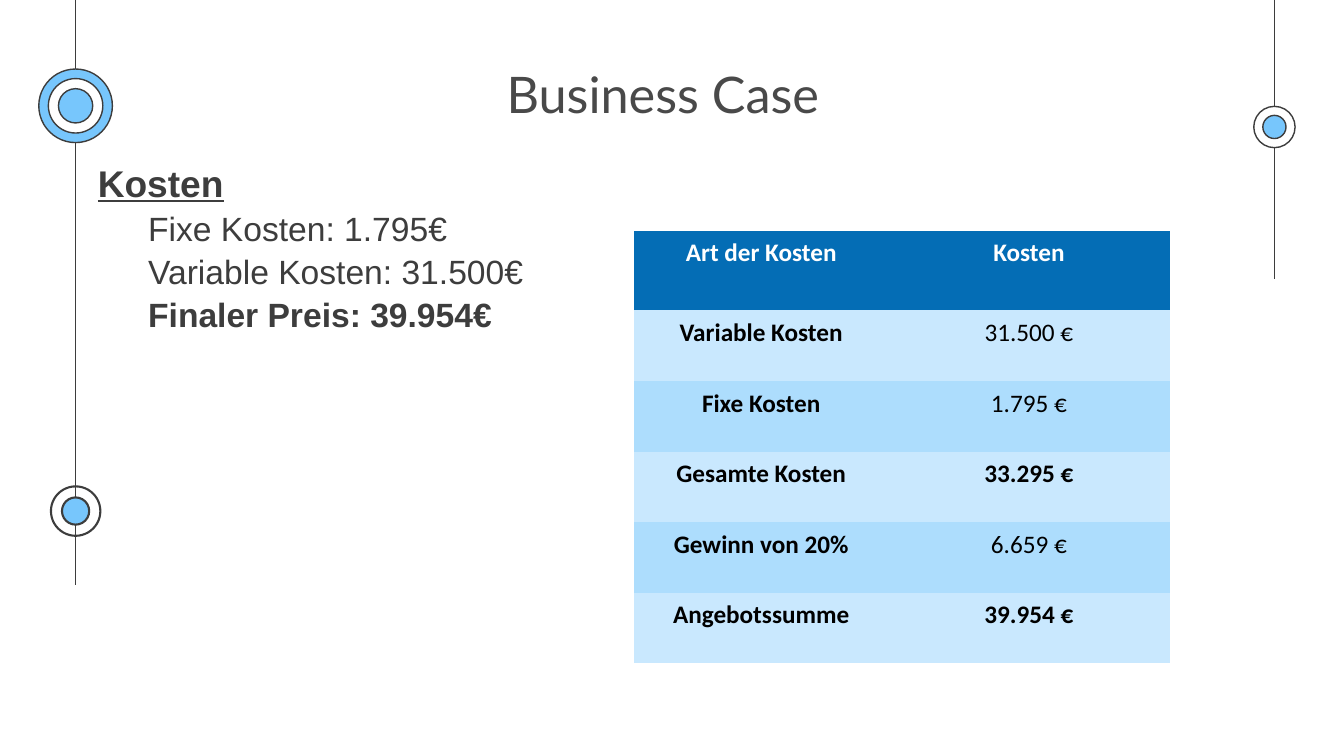
from lxml import etree
from pptx import Presentation
from pptx import util as u
from pptx.dml.color import RGBColor
from pptx.enum import shapes, text
from pptx.oxml import ns

PX = 9144  # EMU per px, 100 px to the inch
INK, BLUE, WHITE, BLACK = "3D3D3D", "77C6FC", "FFFFFF", "000000"
HEADER, BANDS = "046DB5", ("C9E8FE", "ADDDFD")
PLAIN_TABLE = "{2D5ABB26-0587-4C30-8999-92F81FD0307C}"


def px(*lengths):
    return [u.Emu(length * PX) for length in lengths]


def colour(value):
    return RGBColor.from_string(value)


def write(paragraph, content, font="Arial", size=18, color=INK, bold=False,
          underline=False, align=text.PP_ALIGN.LEFT, indent=0, before=0, spacing=1.0):
    paragraph.alignment = align
    paragraph.line_spacing = spacing
    paragraph.space_before = u.Pt(before)
    if indent:
        properties = paragraph._p.get_or_add_pPr()
        properties.set("marL", str(indent * PX))
        properties.set("indent", "0")
    run = paragraph.add_run()
    run.text = content
    run.font.name, run.font.size = font, u.Pt(size)
    run.font.bold, run.font.underline = bold, underline
    run.font.color.rgb = colour(color)


class CostSlide:
    def __init__(self, presentation):
        self.slide = presentation.slides.add_slide(presentation.slide_layouts[6])

    def line(self, x, top, bottom):
        connector = self.slide.shapes.add_connector(
            shapes.MSO_CONNECTOR.STRAIGHT, *px(x, top, x, bottom))
        connector.line.color.rgb = colour(INK)
        connector.line.width = u.Pt(0.75)
        etree.SubElement(connector._element.spPr, ns.qn("a:effectLst"))

    def rings(self, x, y, discs, width):
        """Concentric circles, each given as (diameter, fill)."""
        for diameter, fill in discs:
            corner = [round((centre - diameter / 2) * PX) for centre in (x, y)]
            shape = self.slide.shapes.add_shape(
                shapes.MSO_SHAPE.OVAL, *corner, *px(diameter, diameter))
            shape.shadow.inherit = False
            shape.line.color.rgb = colour(INK)
            shape.line.width = u.Pt(width)
            if fill:
                shape.fill.solid()
                shape.fill.fore_color.rgb = colour(fill)
            else:
                shape.fill.background()

    def text_box(self, box, paragraphs, anchor=text.MSO_ANCHOR.TOP):
        frame = self.slide.shapes.add_textbox(*px(*box)).text_frame
        frame.word_wrap = True
        frame.vertical_anchor = anchor
        frame.margin_left, frame.margin_top, frame.margin_right, frame.margin_bottom = px(13, 7, 13, 7)
        for index, (content, style) in enumerate(paragraphs):
            paragraph = frame.add_paragraph() if index else frame.paragraphs[0]
            write(paragraph, content, **style)

    def table(self, left, top, widths, heights, rows):
        frame = self.slide.shapes.add_table(
            len(rows), len(widths), *px(left, top, sum(widths), sum(heights)))
        table = frame.table
        table.horz_banding = False
        for style in frame._element.iter(ns.qn("a:tableStyleId")):
            style.text = PLAIN_TABLE
        for column, width in zip(table.columns, px(*widths)):
            column.width = width
        for row, height in zip(table.rows, px(*heights)):
            row.height = height
        for r, (label, amount, bold) in enumerate(rows):
            for c, content in enumerate((label, amount)):
                cell = table.cell(r, c)
                cell.margin_left, cell.margin_top, cell.margin_right, cell.margin_bottom = px(13, 7, 13, 7)
                cell.fill.solid()
                cell.fill.fore_color.rgb = colour(BANDS[(r - 1) % 2] if r else HEADER)
                write(cell.text_frame.paragraphs[0], content, font="Calibri",
                      color=BLACK if r else WHITE, bold=bold or c == 0,
                      align=text.PP_ALIGN.CENTER)


def main():
    presentation = Presentation()
    presentation.slide_width, presentation.slide_height = px(1333, 750)
    page = CostSlide(presentation)

    # Decorative lines and rings
    page.line(75, 0, 580)
    page.line(1264, 0, 277)
    page.rings(75, 507, [(49, None), (27, BLUE)], 1.5)
    page.rings(1264, 126, [(41, WHITE), (23, BLUE)], 1)
    page.rings(75, 105, [(73, BLUE), (54, WHITE), (34, BLUE)], 1)

    # Title
    title = dict(font="Lato", size=36, color="494949", align=text.PP_ALIGN.CENTER)
    page.text_box((251, 49, 813, 87), [("Business Case", title)], text.MSO_ANCHOR.MIDDLE)

    # Cost summary
    heading = dict(size=26.5, bold=True, underline=True, before=10, spacing=0.9)
    item = dict(size=24, indent=50, before=5, spacing=0.9)
    page.text_box((84, 157, 544, 232), [
        ("Kosten", heading),
        ("Fixe Kosten: 1.795€", item),
        ("Variable Kosten: 31.500€", item),
        ("Finaler Preis: 39.954€", dict(item, bold=True)),
    ])

    # Cost table: label, amount, bold amount
    page.table(629, 229, (252, 279), [79] + [70] * 5, [
        ("Art der Kosten", "Kosten", True),
        ("Variable Kosten", "31.500 €", False),
        ("Fixe Kosten", "1.795 €", False),
        ("Gesamte Kosten", "33.295 €", True),
        ("Gewinn von 20%", "6.659 €", False),
        ("Angebotssumme", "39.954 €", True),
    ])
    presentation.save("out.pptx")


if __name__ == "__main__":
    main()
